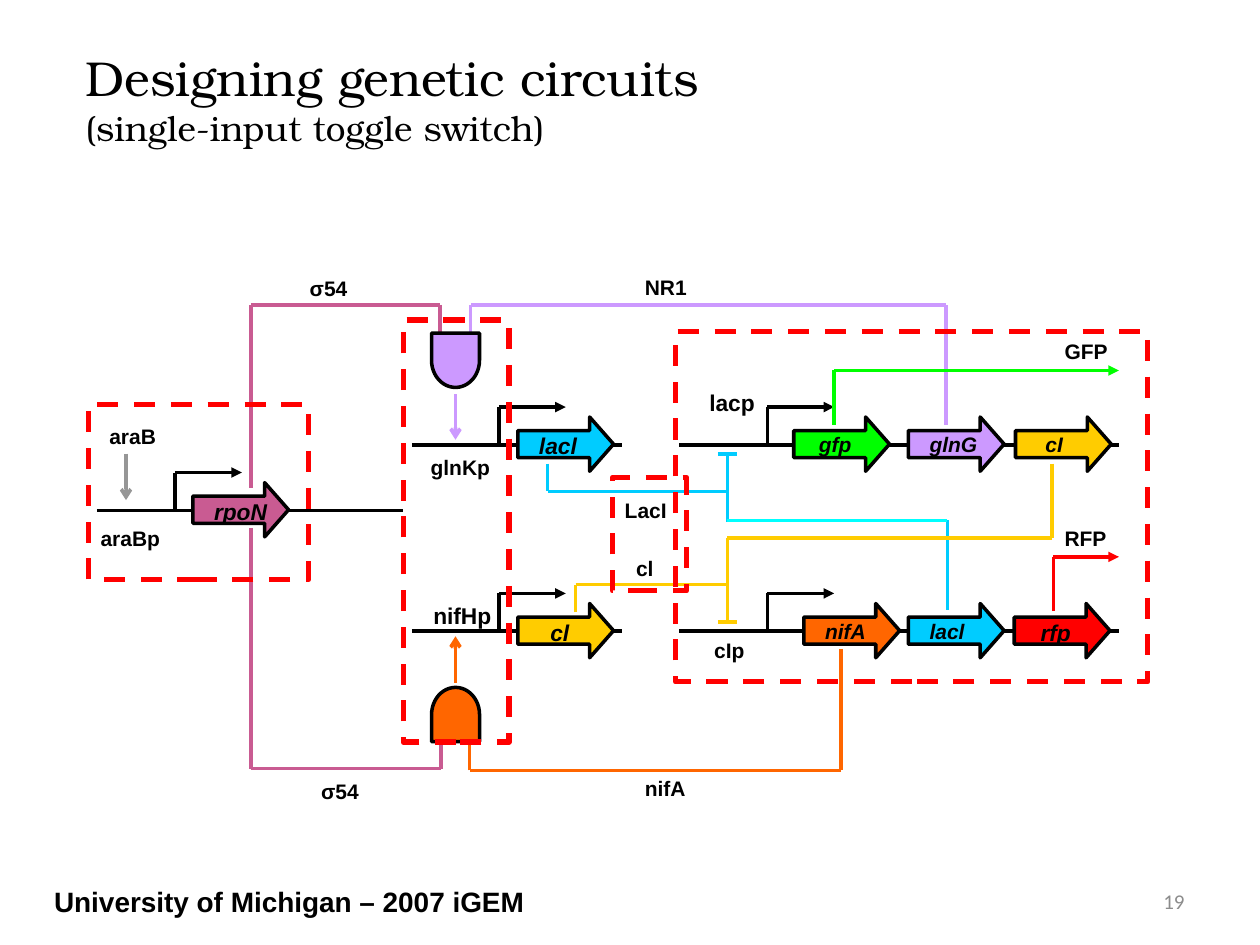
from dataclasses import dataclass
from itertools import pairwise

from lxml import etree
from pptx import Presentation
from pptx.dml.color import RGBColor
from pptx.enum import dml, shapes, text
from pptx.oxml import ns
from pptx.util import Pt


@dataclass(frozen=True)
class Theme:
    black: str = "000000"
    grey: str = "969696"
    page_grey: str = "8C8C8C"
    pink: str = "C95B92"
    purple: str = "CC99FF"
    blue: str = "00CCFF"
    cyan: str = "00FFFF"
    yellow: str = "FFCC00"
    orange: str = "FF6600"
    green: str = "00FF00"
    red: str = "FF0000"
    title_font: str = "TeX Gyre Bonum"
    label_font: str = "Arial"
    page_font: str = "Calibri"
    title: float = 28
    subtitle: float = 20
    footer: float = 16
    large: float = 13
    small: float = 12
    line: float = 2
    frame: float = 3


THEME = Theme()


@dataclass(frozen=True)
class Wire:
    """A run of straight segments, with an optional head at its end."""
    color: str
    points: tuple[tuple[float, float], ...]
    head: str = ""


@dataclass(frozen=True)
class Promoter:
    x: float
    top: float
    height: float = 21.2
    length: float = 38.2
    color: str = THEME.black


@dataclass(frozen=True)
class Gene:
    name: str
    left: float
    top: float
    color: str
    indent: float = 5
    size: float = THEME.small


@dataclass(frozen=True)
class Gate:
    left: float
    top: float
    rotation: float
    color: str


@dataclass(frozen=True)
class Label:
    words: str
    left: float
    top: float
    size: float = THEME.small


@dataclass(frozen=True)
class Frame:
    left: float
    top: float
    width: float
    height: float


UPPER, LOWER = 254.2, 360.7                 # baselines of the two operon rows
UPPER_GENE, LOWER_GENE = 238.3, 344.9
UPPER_START, LOWER_START = 232.6, 339.1     # tops of the promoter arrows
TOGGLE = 415.6                              # x of the shared repression line

BASELINES = [
    Wire(THEME.black, ((left, y), (right, y)))
    for left, right, y in (
        (388.1, 639.4, UPPER), (235.4, 355.7, UPPER), (55.4, 230.4, 291.6),
        (388.1, 639.4, LOWER), (235.4, 355.7, LOWER))
]
REPRESSION_BARS = [
    Wire(color, ((TOGGLE - 5.4, y), (TOGGLE + 5.4, y)))
    for color, y in ((THEME.blue, 259.5), (THEME.yellow, 355.3))
]
SIGNALS = [
    Wire(THEME.blue, ((313, 265), (313, 280.8), (TOGGLE, 280.8), (TOGGLE, 259.5))),
    Wire(THEME.blue, ((541.4, 348.5), (541.4, 297))),
    Wire(THEME.blue, ((TOGGLE, 277.2), (TOGGLE, 298.5))),
    Wire(THEME.cyan, ((TOGGLE, 297.4), (541.4, 297.4))),
    Wire(THEME.yellow, ((329, 350), (329, 334.1), (TOGGLE, 334.1))),
    Wire(THEME.yellow, ((601.2, 265), (601.2, 307.4), (TOGGLE, 307.4), (TOGGLE, 355))),
    Wire(THEME.purple, ((540.7, 242.6), (540.7, 174.2), (269, 174.2), (269, 190.1))),
    Wire(THEME.pink, ((143.3, 278.6), (143.3, 174.2), (251.6, 174.2), (251.6, 190.1))),
    Wire(THEME.pink, ((143.3, 301.7), (143.3, 439.2), (252, 439.2), (252, 424.1))),
    Wire(THEME.orange, ((480.6, 370.8), (480.6, 440.3), (268.4, 440.3), (268.4, 424.1))),
    Wire(THEME.orange, ((260.3, 390.2), (260.3, 363.6)), "arrow"),
    Wire(THEME.purple, ((260.3, 225.4), (260.3, 251.3)), "arrow"),
    Wire(THEME.grey, ((72, 259.2), (72, 285.8)), "arrow"),
]
PROMOTERS = [
    Promoter(438.5, UPPER_START), Promoter(285.1, UPPER_START),
    Promoter(438.5, LOWER_START), Promoter(285.1, LOWER_START),
    Promoter(100, 270),
    Promoter(476.6, 211.7, 31, 162.8, THEME.green),
    Promoter(601.9, 318.2, 31, 37.5, THEME.red),
]
GENES = [
    Gene("rpoN", 110.2, 275.8, THEME.pink, size=THEME.large),
    Gene("lacl", 295.9, UPPER_GENE, THEME.blue, size=THEME.large),
    Gene("gfp", 453.6, UPPER_GENE, THEME.green, 7.2),
    Gene("glnG", 519.1, UPPER_GENE, THEME.purple),
    Gene("cI", 580.3, UPPER_GENE, THEME.yellow, 10),
    Gene("cl", 295.9, LOWER_GENE, THEME.yellow, 11.5, THEME.large),
    Gene("nifA", 459.4, LOWER_GENE, THEME.orange),
    Gene("lacl", 519.1, LOWER_GENE, THEME.blue),
    Gene("rfp", 579.6, LOWER_GENE, THEME.red, 7.9, THEME.large),
]
GATES = [Gate(244.8, 192.2, 90, THEME.purple), Gate(244.8, 394.6, 270, THEME.orange)]
LABELS = [
    Label("lacp", 398.2, 218.9, THEME.large), Label("nifHp", 240.5, 340.6, THEME.large),
    Label("LacI", 349.9, 280.8), Label("cl", 356.4, 313.9),
    Label("araBp", 50.4, 296.6), Label("araB", 55.4, 238.3),
    Label("σ54", 169.9, 154.1), Label("σ54", 176.4, 441.4),
    Label("NR1", 361.4, 153.4), Label("nifA", 361.4, 439.9),
    Label("glnKp", 239, 256.3), Label("cIp", 401, 360.7),
    Label("GFP", 601.2, 190.1), Label("RFP", 601.2, 296.6),
]
FRAMES = [
    Frame(385.9, 189.4, 270, 200.2), Frame(349.9, 272.9, 42.5, 64.8),
    Frame(50.4, 231.1, 126, 100.1), Frame(230.4, 182.9, 60.5, 241.2),
]


def rgb(color: str) -> RGBColor:
    return RGBColor.from_string(color)


def add_text(slide, lines: list[tuple[str, float]], left: float, top: float,
             width: float = 49, height: float = 21.6, *, font: str = THEME.label_font,
             color: str = THEME.black, bold: bool = False, italic: bool = False,
             align=text.PP_ALIGN.LEFT, anchor=text.MSO_ANCHOR.TOP, wrap: bool = True) -> None:
    """Place one paragraph for each (words, size) pair."""
    box = slide.shapes.add_textbox(Pt(left), Pt(top), Pt(width), Pt(height))
    frame = box.text_frame
    frame.word_wrap = wrap
    frame.vertical_anchor = anchor
    for index, (words, size) in enumerate(lines):
        paragraph = frame.add_paragraph() if index else frame.paragraphs[0]
        paragraph.alignment = align
        run = paragraph.add_run()
        run.text = words
        run.font.name, run.font.size = font, Pt(size)
        run.font.bold, run.font.italic = bold, italic
        run.font.color.rgb = rgb(color)


def add_wire(slide, wire: Wire) -> None:
    segments = list(pairwise(wire.points))
    for index, (start, end) in enumerate(segments, 1):
        connector = slide.shapes.add_connector(
            shapes.MSO_CONNECTOR.STRAIGHT, *map(Pt, start + end))
        connector.line.color.rgb = rgb(wire.color)
        connector.line.width = Pt(THEME.line)
        if wire.head and index == len(segments):
            etree.SubElement(connector.line._get_or_add_ln(), ns.qn("a:tailEnd"), type=wire.head)
        etree.SubElement(connector._element.spPr, ns.qn("a:effectLst"))


def add_promoter(slide, promoter: Promoter) -> None:
    x, top = promoter.x, promoter.top
    add_wire(slide, Wire(promoter.color, (
        (x, top + promoter.height), (x, top), (x + promoter.length, top)), "triangle"))


def add_outlined(slide, kind, left: float, top: float, width: float, height: float,
                 line: str, weight: float, fill: str = ""):
    shape = slide.shapes.add_shape(kind, Pt(left), Pt(top), Pt(width), Pt(height))
    shape.shadow.inherit = False
    if fill:
        shape.fill.solid()
        shape.fill.fore_color.rgb = rgb(fill)
    else:
        shape.fill.background()
    shape.line.color.rgb = rgb(line)
    shape.line.width = Pt(weight)
    return shape


def add_gene(slide, gene: Gene) -> None:
    arrow = add_outlined(slide, shapes.MSO_SHAPE.RIGHT_ARROW, gene.left, gene.top, 54.7, 31,
                         THEME.black, THEME.line, gene.color)
    arrow.adjustments[0], arrow.adjustments[1] = 0.5, 0.44
    add_text(slide, [(gene.name, gene.size)], gene.left + gene.indent, gene.top + 5,
             bold=True, italic=True)


def add_gate(slide, gate: Gate) -> None:
    shape = add_outlined(slide, shapes.MSO_SHAPE.FLOWCHART_DELAY, gate.left, gate.top, 31, 27.4,
                         THEME.black, THEME.line, gate.color)
    shape.rotation = gate.rotation


def add_frame(slide, frame: Frame) -> None:
    shape = add_outlined(slide, shapes.MSO_SHAPE.RECTANGLE, frame.left, frame.top,
                         frame.width, frame.height, THEME.red, THEME.frame)
    shape.line.dash_style = dml.MSO_LINE.DASH


def main() -> None:
    presentation = Presentation()
    presentation.slide_width, presentation.slide_height = Pt(720), Pt(540)
    slide = presentation.slides.add_slide(presentation.slide_layouts[6])
    for wire in BASELINES + SIGNALS + REPRESSION_BARS:
        add_wire(slide, wire)
    for promoter in PROMOTERS:
        add_promoter(slide, promoter)
    for gene in GENES:
        add_gene(slide, gene)
    for gate in GATES:
        add_gate(slide, gate)
    for label in LABELS:
        add_text(slide, [(label.words, label.size)], label.left, label.top, bold=True)
    for frame in FRAMES:
        add_frame(slide, frame)
    add_text(slide, [("Designing genetic circuits", THEME.title),
                     ("(single-input toggle switch)", THEME.subtitle)],
             41.8, 23.8, 678.2, 65.5, font=THEME.title_font)
    add_text(slide, [("University of Michigan – 2007 iGEM", THEME.footer)],
             23.8, 501.8, 291.6, 26.6, bold=True, wrap=False)
    add_text(slide, [("19", THEME.small)], 516.2, 500.4, 167.8, 28.8, font=THEME.page_font,
             color=THEME.page_grey, align=text.PP_ALIGN.RIGHT, anchor=text.MSO_ANCHOR.MIDDLE)
    presentation.save("out.pptx")


if __name__ == "__main__":
    main()
